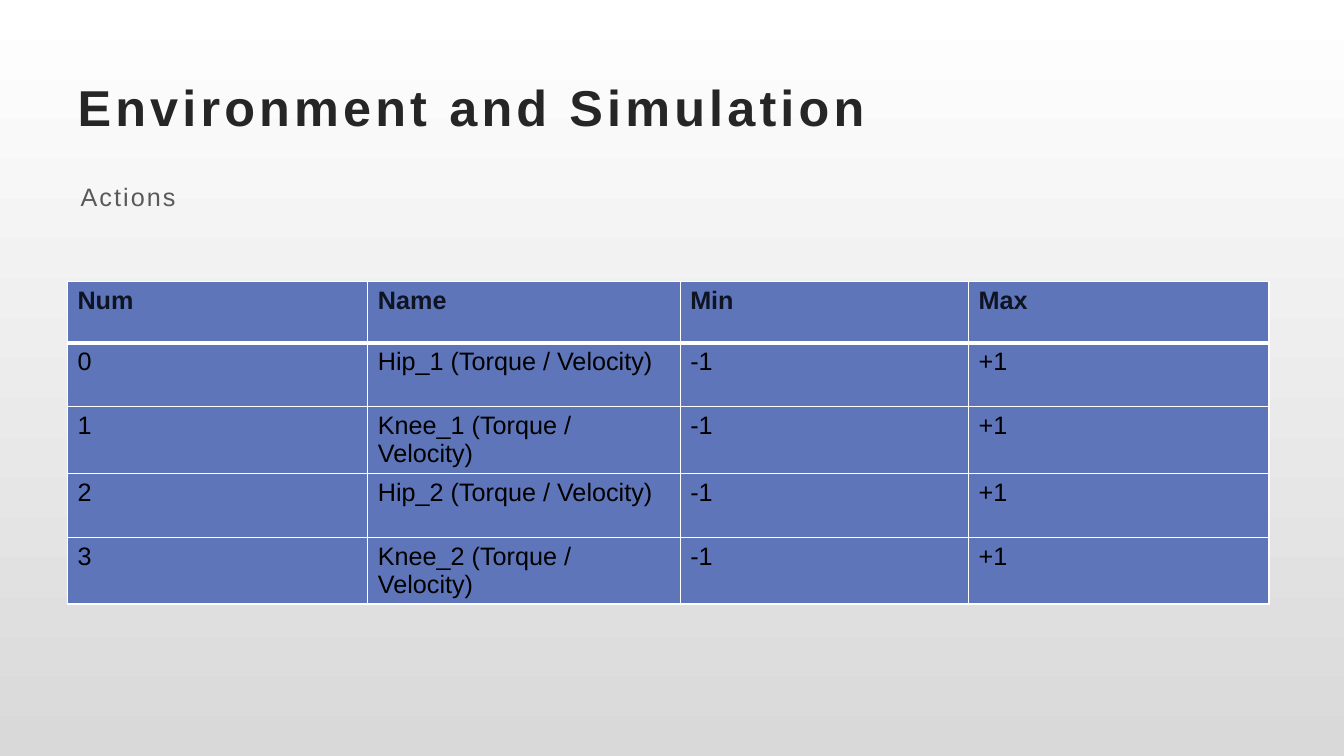
from dataclasses import dataclass

from lxml import etree
from pptx import Presentation
from pptx.dml.color import RGBColor
from pptx.enum.text import MSO_ANCHOR, MSO_AUTO_SIZE, PP_ALIGN
from pptx.oxml.ns import qn
from pptx.util import Cm, Pt

MIDDLE = MSO_ANCHOR.MIDDLE
NO_FIT = MSO_AUTO_SIZE.NONE
LEFT = PP_ALIGN.LEFT
TITLE_ONLY = 5


@dataclass(frozen=True)
class Theme:
    font: str = "Arial"
    title_size: int = 36
    text_size: int = 18
    title: str = "262626"
    subtitle: str = "595959"
    header: str = "0F1423"
    body: str = "000000"
    cell: str = "5E75BA"
    border: str = "FFFFFF"
    back_top: str = "FFFFFF"
    back_bottom: str = "D9D9D9"


THEME = Theme()
ACTIONS = [
    ("Num", "Name", "Min", "Max"),
    *((str(i), f"{joint} (Torque / Velocity)", "-1", "+1")
      for i, joint in enumerate(("Hip_1", "Knee_1", "Hip_2", "Knee_2"))),
]
COLUMN_SHARES = (0.25, 0.26, 0.24, 0.25)


def write(tf, text, size, color, bold=False, spacing=0):
    p = tf.paragraphs[0]
    p.alignment = LEFT
    r = p.add_run()
    r.text = text
    p.font.name = THEME.font
    p.font.size = Pt(size)
    p.font.bold = bold
    p.font.color.rgb = RGBColor.from_string(color)
    if spacing:
        r.font._element.set("spc", str(round(spacing * 100)))


def paint_background(s):
    fill = s.background.fill
    fill.gradient()
    fill.gradient_angle = 270
    for stop, color in zip(fill.gradient_stops, (THEME.back_top, THEME.back_bottom)):
        stop.color.rgb = RGBColor.from_string(color)


def add_title(s, text, left, top, width, height):
    sp = s.shapes.title
    sp.left, sp.top, sp.width, sp.height = left, top, width, height
    tf = sp.text_frame
    tf.auto_size = NO_FIT
    tf.vertical_anchor = MIDDLE
    write(tf, text, THEME.title_size, THEME.title, bold=True, spacing=3)


def add_subtitle(s, text, left, top, width, height):
    tf = s.shapes.add_textbox(left, top, width, height).text_frame
    tf.word_wrap = True
    write(tf, text, THEME.text_size, THEME.subtitle, spacing=1.5)


def set_borders(cell, top, bottom):
    tcPr = cell._tc.get_or_add_tcPr()
    sides = (("a:lnL", 1), ("a:lnR", 1), ("a:lnT", top), ("a:lnB", bottom))
    for i, (tag, points) in enumerate(sides):
        ln = etree.Element(qn(tag), w=str(Pt(points)))
        fill = etree.SubElement(ln, qn("a:solidFill"))
        etree.SubElement(fill, qn("a:srgbClr"), val=THEME.border)
        tcPr.insert(i, ln)


def add_action_table(s, rows, left, top, width, height):
    table = s.shapes.add_table(len(rows), len(rows[0]), left, top, width, height).table
    table.horz_banding = False
    for column, share in zip(table.columns, COLUMN_SHARES):
        column.width = round(width * share)
    header_height = Cm(1.55)
    for i, values in enumerate(rows):
        is_header = i == 0
        table.rows[i].height = (
            header_height if is_header else (height - header_height) // (len(rows) - 1)
        )
        for j, value in enumerate(values):
            cell = table.cell(i, j)
            cell.fill.solid()
            cell.fill.fore_color.rgb = RGBColor.from_string(THEME.cell)
            set_borders(cell, 3 if i == 1 else 1, 3 if is_header else 1)
            color = THEME.header if is_header else THEME.body
            write(cell.text_frame, value, THEME.text_size, color, bold=is_header)


def main():
    prs = Presentation()
    prs.slide_width, prs.slide_height = Cm(33.87), Cm(19.05)
    s = prs.slides.add_slide(prs.slide_layouts[TITLE_ONLY])
    paint_background(s)
    add_title(s, "Environment and Simulation", Cm(1.7), Cm(1.7), Cm(30.48), Cm(1.96))
    add_action_table(s, ACTIONS, Cm(1.7), Cm(7.09), Cm(30.28), Cm(8))
    add_subtitle(s, "Actions", Cm(1.78), Cm(4.45), Cm(7.52), Cm(1.02))
    prs.save("out.pptx")


if __name__ == "__main__":
    main()
